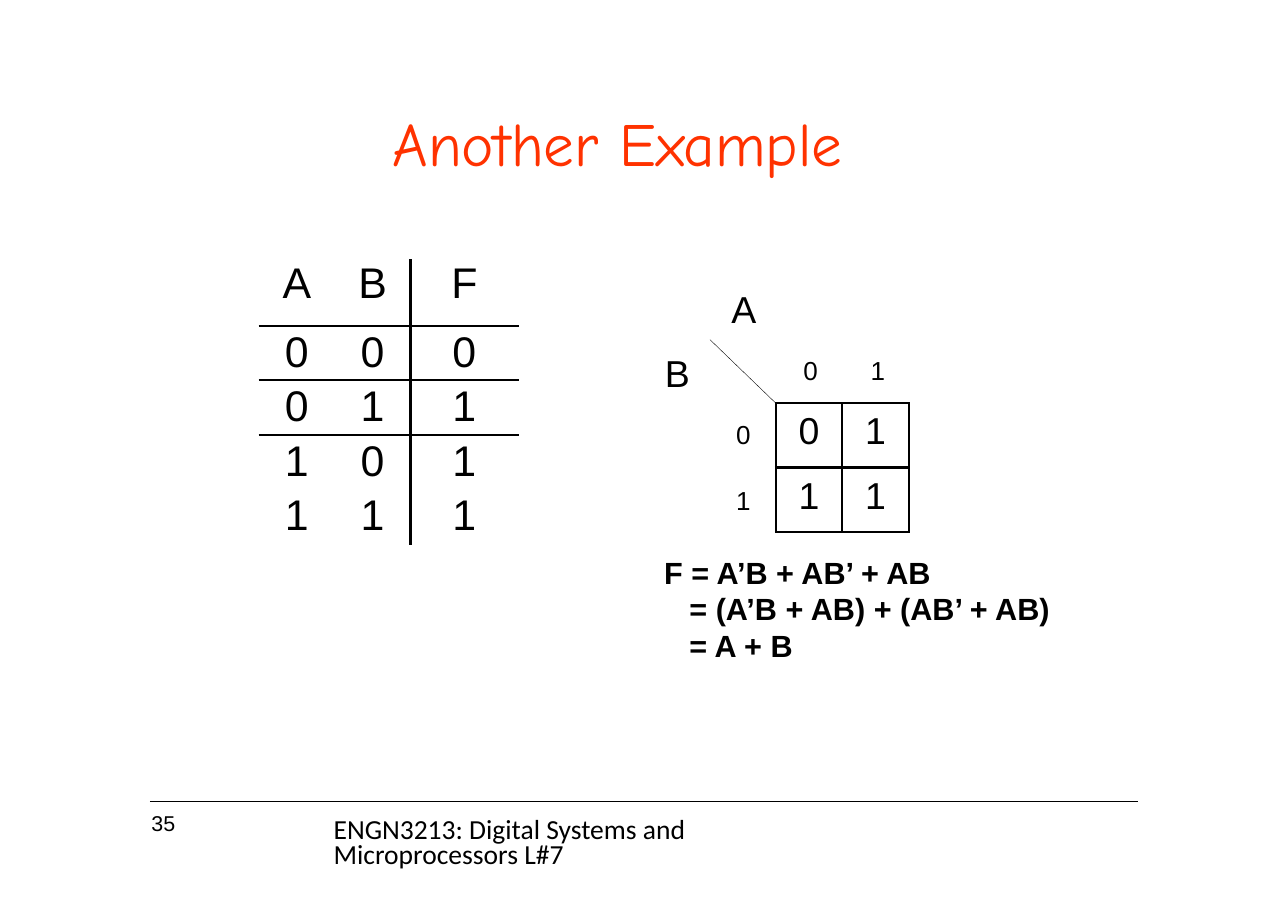
from lxml import etree
from pptx import Presentation
from pptx.dml.color import RGBColor
from pptx.enum import shapes, text
from pptx.oxml import ns
from pptx.util import Pt

BLACK = RGBColor(0x00, 0x00, 0x00)
TITLE_RED = RGBColor(0xFF, 0x32, 0x00)
NO_STYLE_NO_GRID = "{2D5ABB26-0587-4C30-8999-92F81FD0307C}"

TRUTH_ROWS = ["ABF", "000", "011", "101", "111"]
MAP_ROWS = ["01", "11"]


def write(frame, content, size, font="Arial", color=BLACK, bold=False,
          align=text.PP_ALIGN.LEFT, spacing=None, gap=0, indent=0, tab=None):
    """Fill a frame, one paragraph a line; gap and indent apply after the first."""
    for number, line in enumerate(content.split("\n")):
        paragraph = frame.paragraphs[0] if number == 0 else frame.add_paragraph()
        paragraph.text = line
        properties = paragraph._p.get_or_add_pPr()
        if number:
            properties.set("marL", str(Pt(indent)))
        if tab:
            tabs = etree.SubElement(properties, ns.qn("a:tabLst"))
            etree.SubElement(tabs, ns.qn("a:tab"), pos=str(Pt(tab)), algn="l")
        paragraph.alignment = align
        paragraph.space_before = Pt(gap if number else 0)
        if spacing:
            paragraph.line_spacing = Pt(spacing)
        paragraph.font.size = Pt(size)
        paragraph.font.name = font
        paragraph.font.bold = bold
        paragraph.font.color.rgb = color


def clear_margins(frame):
    frame.margin_left = frame.margin_right = 0
    frame.margin_top = frame.margin_bottom = 0
    frame.word_wrap = True
    frame.auto_size = text.MSO_AUTO_SIZE.NONE
    frame.vertical_anchor = text.MSO_ANCHOR.TOP


def add_text(slide, content, left, top, width, height, **style):
    box = slide.shapes.add_textbox(Pt(left), Pt(top), Pt(width), Pt(height))
    clear_margins(box.text_frame)
    write(box.text_frame, content, **style)


def add_title(slide, content):
    title = slide.shapes.title
    title.left, title.top = Pt(256.5), Pt(68.5)
    title.width, title.height = Pt(331), Pt(50)
    clear_margins(title.text_frame)
    write(title.text_frame, content, size=40, font="Comic Neue", color=TITLE_RED)


def add_line(slide, x1, y1, x2, y2, width):
    line = slide.shapes.add_connector(
        shapes.MSO_CONNECTOR.STRAIGHT, Pt(x1), Pt(y1), Pt(x2), Pt(y2))
    line.line.color.rgb = BLACK
    line.line.width = Pt(width)
    etree.SubElement(line._element.spPr, ns.qn("a:effectLst"))


def set_borders(cell, widths):
    """Draw the sides named in widths (L, R, T, B) in black."""
    properties = cell._tc.get_or_add_tcPr()
    sides = [side for side in "LRTB" if side in widths]
    for position, side in enumerate(sides):
        border = etree.Element(ns.qn("a:ln" + side), w=str(Pt(widths[side])))
        fill = etree.SubElement(border, ns.qn("a:solidFill"))
        etree.SubElement(fill, ns.qn("a:srgbClr"), val=str(BLACK))
        properties.insert(position, border)


def add_grid(slide, rows, left, top, widths, heights, borders, style, inset=0):
    """Add a table; borders and style give the format for a row and column."""
    table = slide.shapes.add_table(
        len(rows), len(widths), Pt(left), Pt(top),
        Pt(sum(widths)), Pt(sum(heights))).table
    table.first_row = table.horz_banding = False
    table._tbl.tblPr[0].text = NO_STYLE_NO_GRID
    for column, width in zip(table.columns, widths):
        column.width = Pt(width)
    for r, values in enumerate(rows):
        table.rows[r].height = Pt(heights[r])
        for c, value in enumerate(values):
            cell = table.cell(r, c)
            cell.margin_left = cell.margin_right = cell.margin_bottom = 0
            cell.margin_top = Pt(inset)
            cell.fill.background()
            set_borders(cell, borders(r, c))
            write(cell.text_frame, value, align=text.PP_ALIGN.CENTER, **style(r))


def truth_borders(row, column):
    widths = {}
    if column == 1:
        widths["R"] = 2.25
    if column == 2:
        widths["L"] = 2.25
    if row in (0, 1):
        widths["B"] = 1.5
    if row in (1, 2):
        widths["T"] = 1.5
    return widths


def map_borders(row, column):
    return {"L": 1.5, "R": 1.5,
            "T": 2.25 if row else 1.5, "B": 1.5 if row else 2.25}


def add_truth_table(slide):
    add_grid(slide, TRUTH_ROWS, 169, 169.5, [50, 49, 71],
             [43.5] + [35.5] * 3 + [36.5], truth_borders,
             lambda row: {"size": 28, "spacing": 33.2 if row else None})


def add_karnaugh_map(slide):
    left, top = 507, 263.5
    add_text(slide, "A", 478, 187, 20, 30, size=24.5)
    add_text(slide, "B", 434.5, 228.5, 20, 30, size=24.5)
    add_text(slide, "0\t1", 525, 231.5, 56, 21, size=17, tab=44)
    add_text(slide, "0\n1", 481, 273.5, 15, 64, size=17, gap=23)
    add_grid(slide, MAP_ROWS, left, top, [43.5] * 2, [42] * 2, map_borders,
             lambda row: {"size": 24.5}, inset=5)
    add_line(slide, 464, 222, left, top, 0.25)


def main():
    deck = Presentation()
    deck.slide_width, deck.slide_height = Pt(841.68), Pt(594.72)
    slide = deck.slides.add_slide(deck.slide_layouts[5])
    add_title(slide, "Another Example")
    add_truth_table(slide)
    add_karnaugh_map(slide)
    add_text(slide, "F = A’B + AB’ + AB\n= (A’B + AB) + (AB’ + AB)\n= A + B",
             434, 362, 262, 73, size=20, bold=True, spacing=23.8, indent=16.5)
    add_line(slide, 98, 524, 744, 524, 0.75)
    add_text(slide, "35", 99, 530, 19, 18, size=14, spacing=16.5)
    add_text(slide, "ENGN3213: Digital Systems and Microprocessors L#7",
             218, 535.5, 338, 34, size=18, font="Calibri", spacing=16.5)
    deck.save("out.pptx")


if __name__ == "__main__":
    main()
